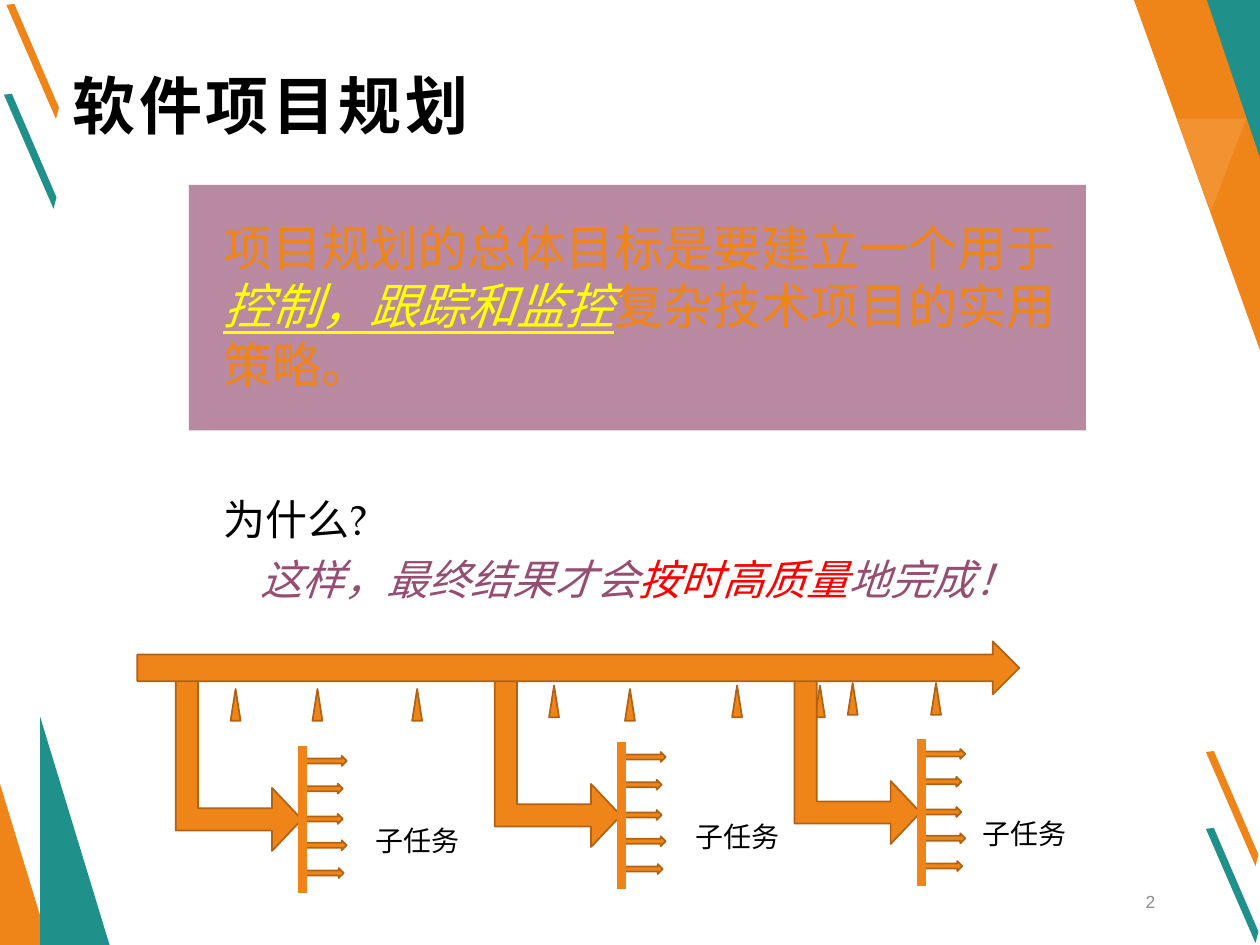
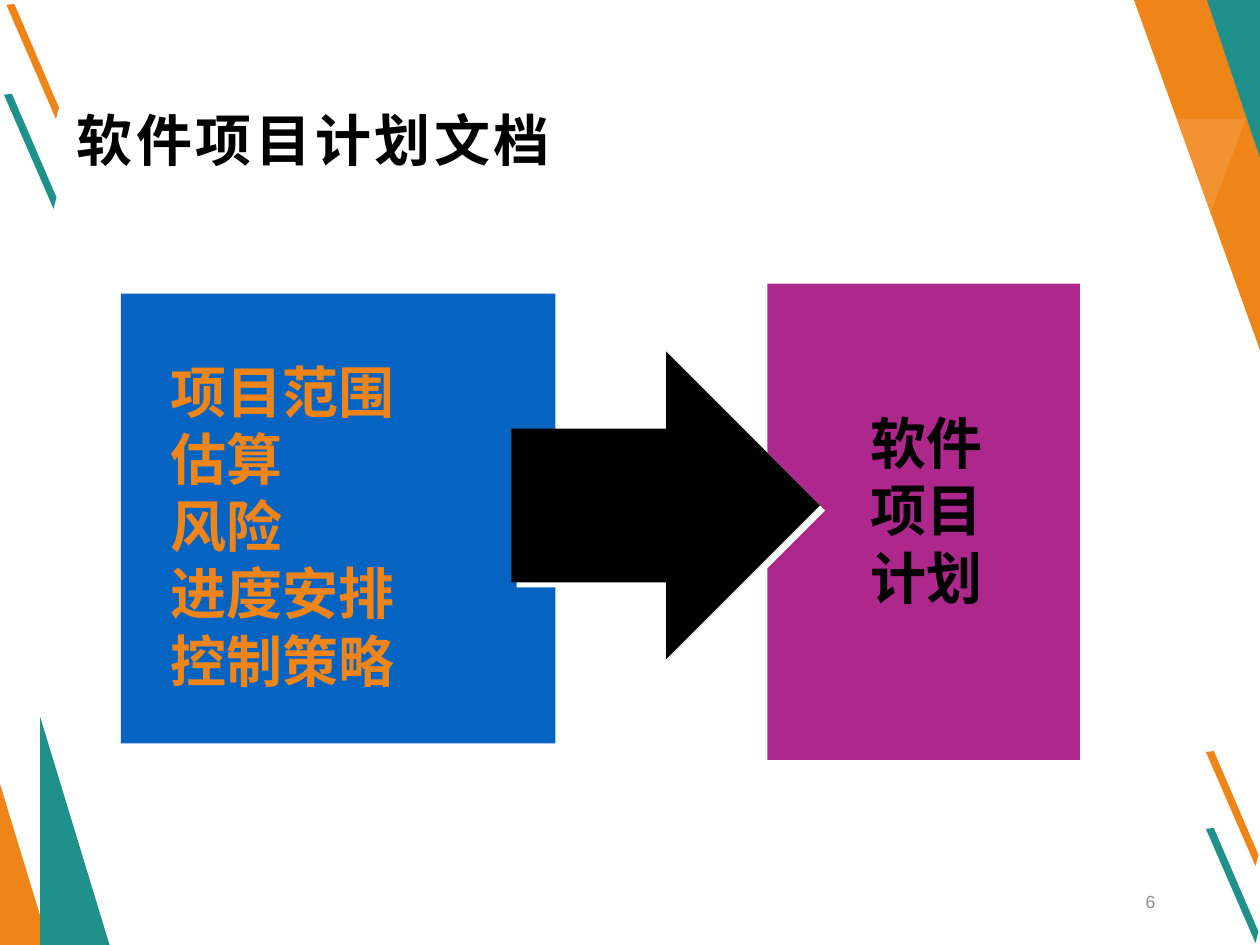
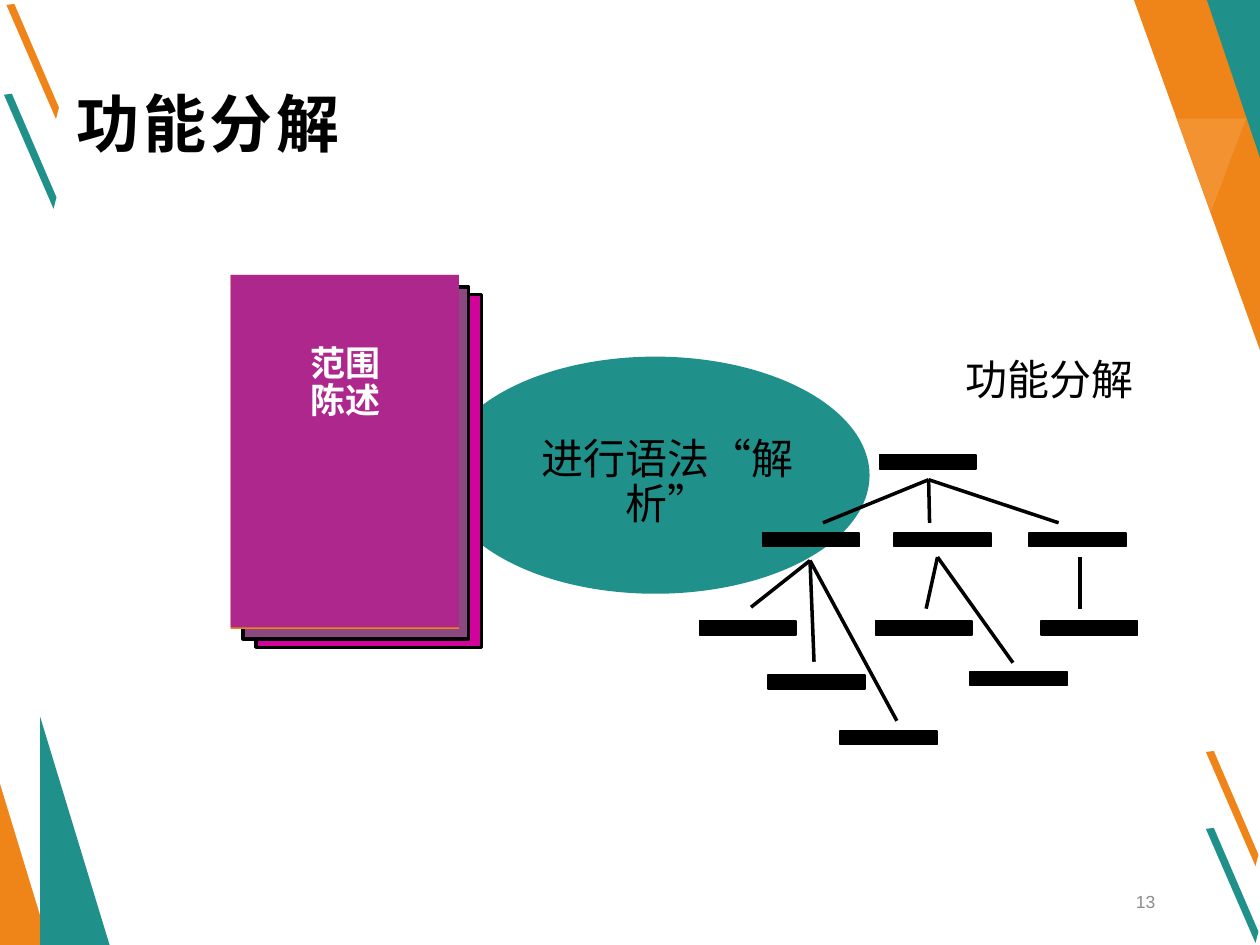
from lxml import etree
from pptx import Presentation
from pptx.dml.color import RGBColor
from pptx.enum.shapes import MSO_CONNECTOR, MSO_SHAPE
from pptx.enum.text import MSO_ANCHOR, PP_ALIGN
from pptx.oxml.ns import qn
from pptx.util import Cm, Pt

RECT, OVAL = MSO_SHAPE.RECTANGLE, MSO_SHAPE.OVAL
TRIANGLE, ARROW = MSO_SHAPE.ISOSCELES_TRIANGLE, MSO_SHAPE.RIGHT_ARROW
BENT = MSO_SHAPE.BENT_UP_ARROW
STRAIGHT = MSO_CONNECTOR.STRAIGHT
LEFT, CENTER, RIGHT = PP_ALIGN.LEFT, PP_ALIGN.CENTER, PP_ALIGN.RIGHT

CJK, ARIAL, SERIF = "Noto Sans CJK SC", "Arial", "TeX Gyre Pagella"
COLORS = {
    "orange": "EF8519", "rust": "B16212", "peach": "F39231", "teal": "20908A",
    "black": "000000", "white": "FFFFFF", "grey": "8C8C8C", "plum": "954D72",
    "yellow": "FFFF00", "red": "FF0000", "magenta": "AD278D", "blue": "0563C1",
    "pink": "D1039B", "violet": "8C4881",
}


def rgb(name):
    return RGBColor.from_string(COLORS[name])


class Deck:
    """Holds the shared style and the slide being built."""

    def __init__(self):
        self.prs = Presentation()
        self.prs.slide_width, self.prs.slide_height = Cm(25.4), Cm(19.05)
        self.s = None

    def slide(self, title, x, y, size, number):
        self.s = self.prs.slides.add_slide(self.prs.slide_layouts[6])
        self.decorate()
        self.text(17.93, 17.96, 5.36, [[(str(number), {})]], size=10,
                  color="grey", font=ARIAL, align=RIGHT)
        self.text(x, y, 22, [[(title, {"spacing": 2})]], size=size, bold=True)

    def decorate(self):
        # Slanted streaks at the side edges
        streak = [(0, 0), (0.16, -0.02), (1.06, 2.07), (1, 2.3)]
        for x, y, color in [(24.31, 15.16, "orange"), (0.08, 1.91, "teal"),
                            (0.13, 0.1, "orange"), (24.31, 16.71, "teal")]:
            self.polygon([(x + dx, y + dy) for dx, dy in streak], color)
        # Top right corner
        self.polygon([(22.86, 0), (25.4, 0), (25.4, 7.06)], "orange")
        self.polygon([(24.33, 0), (25.4, 0), (25.4, 3.18)], "teal")
        self.polygon([(25.12, 2.39), (24.41, 4.27), (23.72, 2.39)], "peach")
        # Bottom left corner
        self.shape(TRIANGLE, 0, 15.8, 0.99, 3.25, "orange", adj=[0])
        self.shape(TRIANGLE, 0.81, 14.45, 1.4, 4.6, "teal", adj=[0])

    def polygon(self, points, color):
        pts = [(Cm(x), Cm(y)) for x, y in points]
        fb = self.s.shapes.build_freeform(*pts[0])
        fb.add_line_segments(pts[1:], close=True)
        self.paint(fb.convert_to_shape(), color)

    def paint(self, sp, fill, line=None, width=1):
        sp.shadow.inherit = False
        sp.fill.solid()
        sp.fill.fore_color.rgb = rgb(fill)
        if line:
            sp.line.color.rgb = rgb(line)
            sp.line.width = Pt(width)
        else:
            sp.line.fill.background()

    def shape(self, kind, x, y, w, h, fill, line=None, width=1, adj=()):
        sp = self.s.shapes.add_shape(kind, Cm(x), Cm(y), Cm(w), Cm(h))
        for i, value in enumerate(adj):
            sp.adjustments[i] = value
        self.paint(sp, fill, line, width)
        return sp

    def fade(self, sp, percent):
        clr = sp.fill._xPr.find(qn("a:solidFill"))[0]
        etree.SubElement(clr, qn("a:alpha"), val=str(percent * 1000))

    def drop_shadow(self, sp, color, distance):
        effects = sp._element.spPr.find(qn("a:effectLst"))
        shadow = etree.SubElement(effects, qn("a:outerShdw"), dist=str(Pt(distance)),
                                  dir="2700000", algn="ctr", rotWithShape="0")
        etree.SubElement(shadow, qn("a:srgbClr"), val=COLORS[color])

    def line(self, start, end, color, width):
        c = self.s.shapes.add_connector(STRAIGHT, *(Cm(v) for v in (*start, *end)))
        c.line.color.rgb = rgb(color)
        c.line.width = Pt(width)
        etree.SubElement(c._element.spPr, qn("a:effectLst"))

    def text(self, x, y, w, paragraphs, size, color="black", font=CJK, bold=False,
             align=LEFT, leading=1.2):
        """Each paragraph is a list of (text, style) runs."""
        tb = self.s.shapes.add_textbox(Cm(x), Cm(y), Cm(w),
                                       Pt(size * leading * len(paragraphs)))
        tf = tb.text_frame
        tf.word_wrap = True
        tf.vertical_anchor = MSO_ANCHOR.TOP
        tf.margin_left = tf.margin_right = tf.margin_top = tf.margin_bottom = 0
        for i, runs in enumerate(paragraphs):
            p = tf.paragraphs[0] if i == 0 else tf.add_paragraph()
            p.alignment = align
            p.line_spacing = Pt(size * leading)
            for content, style in runs:
                self.run(p, content, **{"size": size, "color": color, "font": font,
                                        "bold": bold, **style})
        return tf

    def run(self, p, content, size, color, font, bold, italic=False,
            underline=False, spacing=0):
        r = p.add_run()
        r.text = content
        f = r.font
        f.name, f.size, f.bold = font, Pt(size), bold
        f.italic, f.underline = italic, underline
        f.color.rgb = rgb(color)
        rPr = r._r.get_or_add_rPr()
        if spacing:
            rPr.set("spc", str(spacing * 100))
        ea = etree.Element(qn("a:ea"), typeface=CJK)
        rPr.find(qn("a:latin")).addnext(ea)


def plain(*lines):
    return [[(line, {})] for line in lines]


def planning_slide(d):
    d.slide("软件项目规划", 1.47, 1.34, 36, 2)

    # Goal and reason
    d.fade(d.shape(RECT, 3.81, 3.73, 18.08, 4.95, "plum"), 66)
    serif = {"size": 24, "font": SERIF}
    slanted = {**serif, "color": "plum", "italic": True}
    tf = d.text(4.5, 4.38, 16.9, [
        [("项目规划的总体目标是要建立一个用于", {}),
         ("控制，跟踪和监控", {"color": "yellow", "italic": True, "underline": True}),
         ("复杂技术项目的实用策略。", {})],
        [("为什么?", {**serif, "color": "black"})],
        [("这样，最终结果才会", slanted),
         ("按时高质量", {**slanted, "color": "red"}),
         ("地完成！", slanted)],
    ], size=28, color="orange")
    why, answer = tf.paragraphs[1:]
    why.space_before, why.line_spacing = Pt(57), Pt(28.8)
    answer.line_spacing = Pt(34.5)
    answer._p.get_or_add_pPr().set("marL", str(Cm(0.76)))

    # Milestones under the timeline
    ticks = {13.89: [4.65, 6.3, 8.31, 12.6], 13.82: [11.07, 14.76, 16.43],
             13.77: [17.09, 18.77]}
    for y, lefts in ticks.items():
        for x in lefts:
            d.shape(TRIANGLE, x, y, 0.2, 0.64, "orange", "rust")

    # Subtask branches
    steps = [(6.15, 15.24), (6.07, 15.8), (6.07, 16.41), (6.15, 16.94), (6.09, 17.5)]
    for dx, dy, label_x in [(0, 0, 7.57), (6.43, -0.08, 14.02), (12.47, -0.14, 19.81)]:
        bent = d.shape(BENT, 3.1 + dx, 14.17 + dy, 3.43, 2.54, "orange", "rust",
                       adj=[0.176, 0.25, 0.237])
        bent.rotation = 90
        for x, y in steps:
            d.shape(ARROW, x + dx, y + dy, 0.84, 0.2, "orange", "rust")
        d.line((6.1 + dx, 15.04 + dy), (6.1 + dx, 18.01 + dy), "orange", 5)
        d.text(label_x, 16.6 + dy, 2, plain("子任务"), size=16, font=ARIAL)

    # Timeline
    d.shape(ARROW, 2.77, 12.93, 17.78, 1.07, "orange", "rust")


def document_slide(d):
    d.slide("软件项目计划文档", 1.55, 2.13, 32, 6)

    # Resulting plan
    d.shape(RECT, 15.47, 5.72, 6.3, 9.6, "magenta")
    d.text(17.27, 8.24, 2.8, plain("软件", "项目", "计划"), size=32, font=ARIAL,
           bold=True, align=CENTER)

    # Inputs
    d.shape(RECT, 2.44, 5.92, 8.76, 9.07, "blue")
    d.text(3.43, 7.2, 5.5, plain("项目范围", "估算", "风险", "进度安排", "控制策略"),
           size=32, color="orange", bold=True)

    arrow = d.shape(ARROW, 10.31, 7.09, 6.22, 6.2, "black", adj=[0.5, 0.5])
    d.drop_shadow(arrow, "white", 4.2)


def decomposition_slide(d):
    d.slide("功能分解", 1.55, 1.7, 36, 13)

    # Parsing step
    d.shape(OVAL, 8.89, 7.19, 8.64, 4.78, "teal")
    d.text(10.21, 8.82, 6.5, plain("进行语法“解析”"), size=24, align=CENTER, leading=1.08)

    # Stack of scope sheets
    d.shape(RECT, 5.16, 5.94, 4.55, 7.11, "pink", "black", 2)
    d.shape(RECT, 4.9, 5.79, 4.55, 7.09, "violet", "black", 2)
    d.shape(RECT, 4.65, 5.54, 4.6, 7.14, "orange")
    d.shape(RECT, 4.65, 5.54, 4.6, 7.11, "magenta")
    d.text(5.97, 6.96, 2, plain("范围", "陈述"), size=20, color="white", font=ARIAL,
           bold=True, align=CENTER, leading=1.08)

    # Function tree
    d.text(19.35, 7.12, 3.6, plain("功能分解"), size=24, align=CENTER)
    nodes = {9.17: [17.73], 10.74: [15.37, 18.03, 20.75], 12.52: [14.1, 17.65, 20.98],
             13.54: [19.56], 13.61: [15.49], 14.73: [16.94]}
    for y, lefts in nodes.items():
        for x in lefts:
            d.shape(RECT, x, y, 1.95, 0.28, "black", "black")
    links = {
        (18.72, 9.67): [(16.59, 10.54), (18.74, 10.54), (21.34, 10.54)],
        (16.33, 11.3): [(15.14, 12.24), (16.41, 13.34), (18.08, 14.53)],
        (18.9, 11.23): [(18.67, 12.27), (20.42, 13.36)],
        (21.77, 11.23): [(21.77, 12.27)],
    }
    for parent, children in links.items():
        for child in children:
            d.line(parent, child, "black", 2)


def main():
    d = Deck()
    planning_slide(d)
    document_slide(d)
    decomposition_slide(d)
    d.prs.save("out.pptx")


if __name__ == "__main__":
    main()
